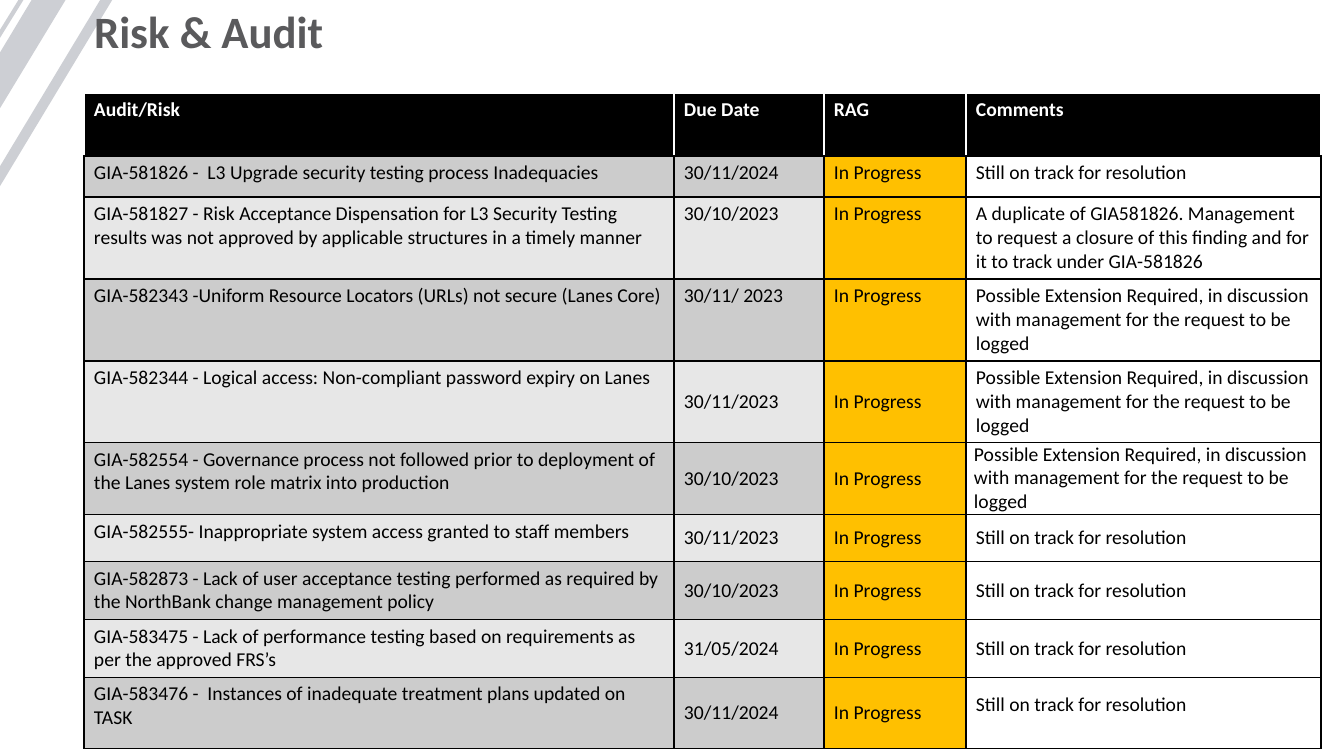
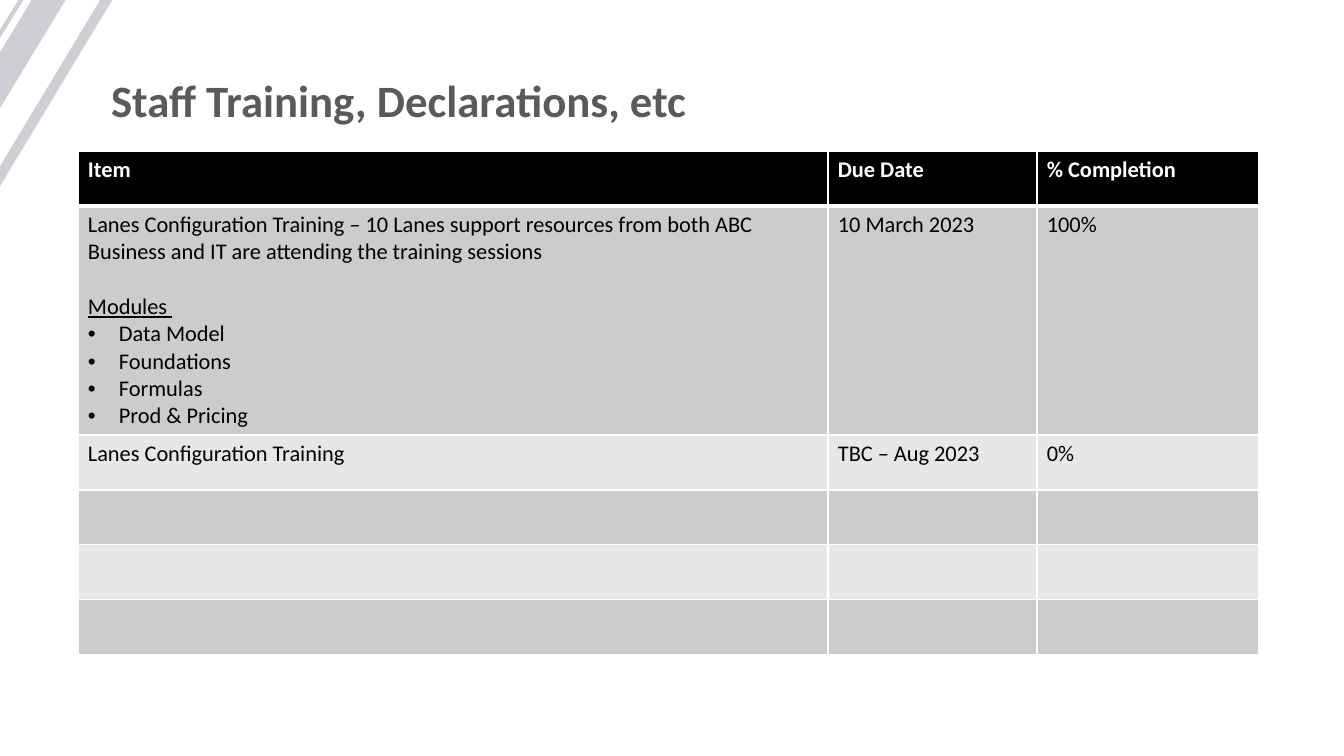
from lxml import etree
from pptx import Presentation
from pptx.dml.color import RGBColor
from pptx.enum.text import MSO_ANCHOR, MSO_AUTO_SIZE, PP_ALIGN
from pptx.oxml.ns import qn
from pptx.util import Pt

TOP, MIDDLE, LEFT = MSO_ANCHOR.TOP, MSO_ANCHOR.MIDDLE, PP_ALIGN.LEFT
NO_FIT = MSO_AUTO_SIZE.NONE
PX = 914400 / 100.8
FONT = "Calibri"
COLORS = {name: RGBColor.from_string(value) for name, value in {
    "title": "5A5A5C", "stripe": "CDCFD4", "black": "000000", "white": "FFFFFF",
    "odd": "CCCCCC", "even": "E7E7E7", "amber": "FFC000"}.items()}
TITLE_FONT = {"name": FONT, "size": Pt(32), "bold": True}
STRIPES = [
    [(37, -9), (71, -9), (-38, 171), (-43, 179), (-43, 124)],
    [(29, -9), (-5, 46), (-10, 46), (24, -9)],
    [(117, -8), (-30, 236), (-42, 236), (105, -8)],
]


def add_titled_slide(title, left, top):
    """Add a title-only slide and place and format its title."""
    s = prs.slides.add_slide(layout)
    sp = s.shapes.title
    box = {"left": left, "top": top, "width": 946, "height": 76}
    for name, value in box.items():
        setattr(sp, name, round(value * PX))
    tf = sp.text_frame
    tf.text = title
    tf.vertical_anchor, tf.auto_size, tf.word_wrap = TOP, NO_FIT, True
    p = tf.paragraphs[0]
    p.alignment, p.line_spacing = LEFT, 0.9
    font = p.runs[0].font
    for name, value in TITLE_FONT.items():
        setattr(font, name, value)
    font.color.rgb = COLORS["title"]
    return s


def add_grid(s, left, top, widths, heights, rows, size, line, rule):
    """Add a table with a black header, banded rows and ruled cells."""
    box = (left, top, sum(widths), sum(heights))
    table = s.shapes.add_table(len(rows), len(widths),
                               *(round(v * PX) for v in box)).table
    table.first_row = table.horz_banding = False
    for column, width in zip(table.columns, widths):
        column.width = round(width * PX)
    for i, (height, texts) in enumerate(zip(heights, rows)):
        table.rows[i].height = round(height * PX)
        header = i == 0
        side = "white" if header else line
        borders = {"a:lnL": (side, 1), "a:lnR": (side, 1),
                   "a:lnT": (line, rule) if i == 1 else (side, 1),
                   "a:lnB": (line, rule) if header else (line, 1)}
        band = "black" if header else "odd" if i % 2 else "even"
        for cell, text in zip(table.rows[i].cells, texts):
            tc_pr = cell._tc.get_or_add_tcPr()
            for tag, (color, weight) in borders.items():
                ln = etree.SubElement(tc_pr, qn(tag), w=str(Pt(weight)))
                fill = etree.SubElement(ln, qn("a:solidFill"))
                etree.SubElement(fill, qn("a:srgbClr"), val=str(COLORS[color]))
            cell.fill.solid()
            cell.fill.fore_color.rgb = COLORS[band]
            for name, margin in zip(("left", "top", "right", "bottom"), (10, 5, 10, 5)):
                setattr(cell, f"margin_{name}", round(margin * PX))
            cell.vertical_anchor = TOP
            cell.text_frame.text = text
            for p in cell.text_frame.paragraphs:
                for r in p.runs:
                    r.font.name, r.font.size, r.font.bold = FONT, Pt(size), header
                    r.font.color.rgb = COLORS["white" if header else "black"]
    return table


prs = Presentation()
prs.slide_width, prs.slide_height = round(1344 * PX), round(756 * PX)
layout = prs.slide_layouts[5]

# Slide 1: risk and audit findings
s = add_titled_slide("Risk & Audit", 84, 5)

# The corner stripes are moved to the layout, so every slide shows them
for number, points in enumerate(STRIPES):
    outline = s.shapes.build_freeform(*points[0], scale=PX)
    outline.add_line_segments(points[1:], close=True)
    stripe = outline.convert_to_shape()
    stripe.shadow.inherit = False
    stripe.fill.solid()
    stripe.fill.fore_color.rgb = COLORS["stripe"]
    stripe.line.fill.background()
    stripe.element.nvSpPr.cNvPr.id = 20 + number
    layout.shapes.element.append(stripe.element)

ON_TRACK = "Still on track for resolution"
EXTENSION = ("Possible Extension Required, in discussion with management "
             "for the request to be logged")
DUPLICATE = ("A duplicate of GIA581826. Management to request a closure of this "
             "finding and for it to track under GIA-581826")
findings = [
    ("GIA-581826 -  L3 Upgrade security testing process Inadequacies",
     "30/11/2024", ON_TRACK),
    ("GIA-581827 - Risk Acceptance Dispensation for L3 Security Testing results "
     "was not approved by applicable structures in a timely manner",
     "30/10/2023", DUPLICATE),
    ("GIA-582343 -Uniform Resource Locators (URLs) not secure (Lanes Core)",
     "30/11/ 2023", EXTENSION),
    ("GIA-582344 - Logical access: Non-compliant password expiry on Lanes",
     "30/11/2023", EXTENSION),
    ("GIA-582554 - Governance process not followed prior to deployment of the "
     "Lanes system role matrix into production", "30/10/2023", EXTENSION),
    ("GIA-582555- Inappropriate system access granted to staff members",
     "30/11/2023", ON_TRACK),
    ("GIA-582873 - Lack of user acceptance testing performed as required by the "
     "NorthBank change management policy", "30/10/2023", ON_TRACK),
    ("GIA-583475 - Lack of performance testing based on requirements as per the "
     "approved FRS’s", "31/05/2024", ON_TRACK),
    ("GIA-583476 -  Instances of inadequate treatment plans updated on TASK",
     "30/11/2024", ON_TRACK),
]
rows = [("Audit/Risk", "Due Date", "RAG", "Comments")]
rows += [(finding, due, "In Progress", comment) for finding, due, comment in findings]
table = add_grid(s, 84, 93, (590, 150, 142, 355),
                 (63, 41, 82, 82, 81, 72, 47, 58, 58, 71), rows, 14, "black", 1)
for i in range(1, len(rows)):
    status, comment = table.cell(i, 2), table.cell(i, 3)
    status.fill.fore_color.rgb = COLORS["amber"]
    comment.fill.background()
    if i >= 4:
        for cell in (table.cell(i, 1), status, comment):
            cell.vertical_anchor = MIDDLE
tight = table.cell(5, 3)
tight.vertical_anchor = TOP
tight.margin_left = round(8 * PX)
tight.margin_top = tight.margin_right = tight.margin_bottom = 0
table.cell(9, 3).margin_bottom = round(22 * PX)

# Slide 2: staff training
s = add_titled_slide("Staff Training, Declarations, etc", 101, 74)
training = ("Lanes Configuration Training – 10 Lanes support resources from both ABC "
            "Business and IT are attending the training sessions\n"
            "Modules \nData Model\nFoundations\nFormulas\nProd & Pricing")
rows = [("Item", "Due Date", "% Completion"),
        (training, "10 March 2023", "100%"),
        ("Lanes Configuration Training", "TBC – Aug 2023", "0%")]
rows += [("", "", "")] * 3
table = add_grid(s, 78, 151, (750, 209, 222), (55, 229, 55, 55, 55, 55),
                 rows, 16, "white", 3)
heading, *modules = table.cell(1, 0).text_frame.paragraphs[1:]
heading.space_before = Pt(19.5)
heading.runs[0].font.underline = True
indent = round(31 * PX)
for p in modules:
    p_pr = p._p.get_or_add_pPr()
    p_pr.set("marL", str(indent))
    p_pr.set("indent", str(-indent))
    etree.SubElement(p_pr, qn("a:buFont"), typeface="Arial")
    etree.SubElement(p_pr, qn("a:buChar"), char="•")

prs.save("out.pptx")
